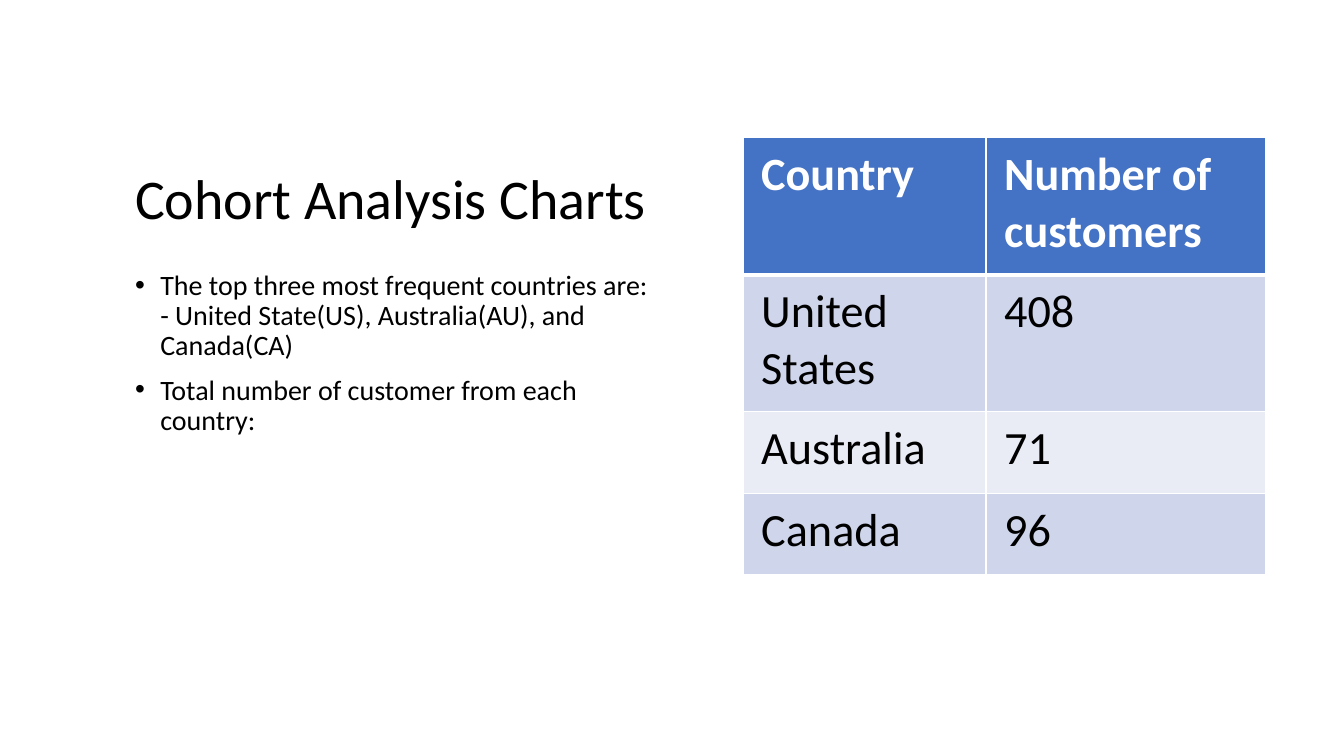
from pptx import Presentation, util as u
from pptx.dml.color import RGBColor
from pptx.enum import text
from pptx.oxml import parse_xml
from pptx.oxml.ns import nsdecls

FONT = "Calibri"
COLORS = {"black": "000000", "white": "FFFFFF", "header": "4472C4",
          "band": "CFD5EA", "light": "E9EBF5"}
BULLETS = [
    ["The top three most frequent countries are:",
     "- United State(US), Australia(AU), and Canada(CA)"],
    ["Total number of customer from each country:"],
]
CUSTOMERS = [
    ("Country", "Number of customers"),
    ("United States", "408"),
    ("Australia", "71"),
    ("Canada", "96"),
]
COLUMN_WEIGHTS = [2.41, 2.77]
ROW_WEIGHTS = [1.36, 1.36, 0.81, 0.81]

prs = Presentation()
prs.slide_width, prs.slide_height = u.Inches(13.33), u.Inches(7.5)


def area(left, top, width, height):
    return [int(size * percent / 100) for size, percent in zip(
        (prs.slide_width, prs.slide_height) * 2, (left, top, width, height))]


def add_run(p, content, size, color="black", bold=False):
    r = p.add_run()
    r.text = content
    r.font.name, r.font.size, r.font.bold = FONT, u.Pt(size), bold
    r.font.color.rgb = RGBColor.from_string(COLORS[color])


def place(sp, box, anchor):
    sp.left, sp.top, sp.width, sp.height = box
    tf = sp.text_frame
    tf.word_wrap = True
    tf.auto_size = text.MSO_AUTO_SIZE.NONE
    tf.vertical_anchor = anchor
    return tf


def add_title(s, box):
    tf = place(s.shapes.title, box, text.MSO_ANCHOR.BOTTOM)
    p = tf.paragraphs[0]
    p.alignment, p.line_spacing = text.PP_ALIGN.LEFT, 0.9
    add_run(p, "Cohort Analysis Charts", 40)


def add_findings(s, box):
    tf = place(s.placeholders[1], box, text.MSO_ANCHOR.TOP)
    for i, lines in enumerate(BULLETS):
        p = tf.add_paragraph() if i else tf.paragraphs[0]
        p.line_spacing, p.space_before = 0.9, u.Pt(10)
        pPr = p._p.get_or_add_pPr()
        pPr.set("marL", str(u.Inches(0.25)))
        pPr.set("indent", str(-u.Inches(0.25)))
        for j, line in enumerate(lines):
            if j:
                p.add_line_break()
            add_run(p, line, 20)


def add_borders(cell, top, bottom):
    tcPr = cell._tc.get_or_add_tcPr()
    for side, width in (("L", 1), ("R", 1), ("T", top), ("B", bottom)):
        tcPr.append(parse_xml(
            f'<a:ln{side} {nsdecls("a")} w="{u.Pt(width)}"><a:solidFill>'
            f'<a:srgbClr val="{COLORS["white"]}"/></a:solidFill></a:ln{side}>'))


def add_customer_table(s, box):
    left, top, width, height = box
    table = s.shapes.add_table(len(CUSTOMERS), len(COLUMN_WEIGHTS), *box).table
    for column, weight in zip(table.columns, COLUMN_WEIGHTS):
        column.width = int(width * weight / sum(COLUMN_WEIGHTS))
    for row, weight in zip(table.rows, ROW_WEIGHTS):
        row.height = int(height * weight / sum(ROW_WEIGHTS))
    for i, values in enumerate(CUSTOMERS):
        header = i == 0
        fill = "header" if header else "band" if i % 2 else "light"
        for j, value in enumerate(values):
            cell = table.cell(i, j)
            cell.margin_left = cell.margin_right = u.Inches(0.18)
            cell.margin_top = cell.margin_bottom = u.Inches(0.09)
            add_borders(cell, 3 if i == 1 else 1, 3 if header else 1)
            cell.fill.solid()
            cell.fill.fore_color.rgb = RGBColor.from_string(COLORS[fill])
            add_run(cell.text_frame.paragraphs[0], value, 33,
                    "white" if header else "black", header)


def build_cohort_slide():
    s = prs.slides.add_slide(prs.slide_layouts[1])
    add_title(s, area(9.3, 7.33, 40.66, 24))
    add_findings(s, area(9.3, 35.2, 40.66, 51.33))
    add_customer_table(s, area(55.29, 18.2, 38.86, 57.87))


if __name__ == "__main__":
    build_cohort_slide()
    prs.save("out.pptx")
